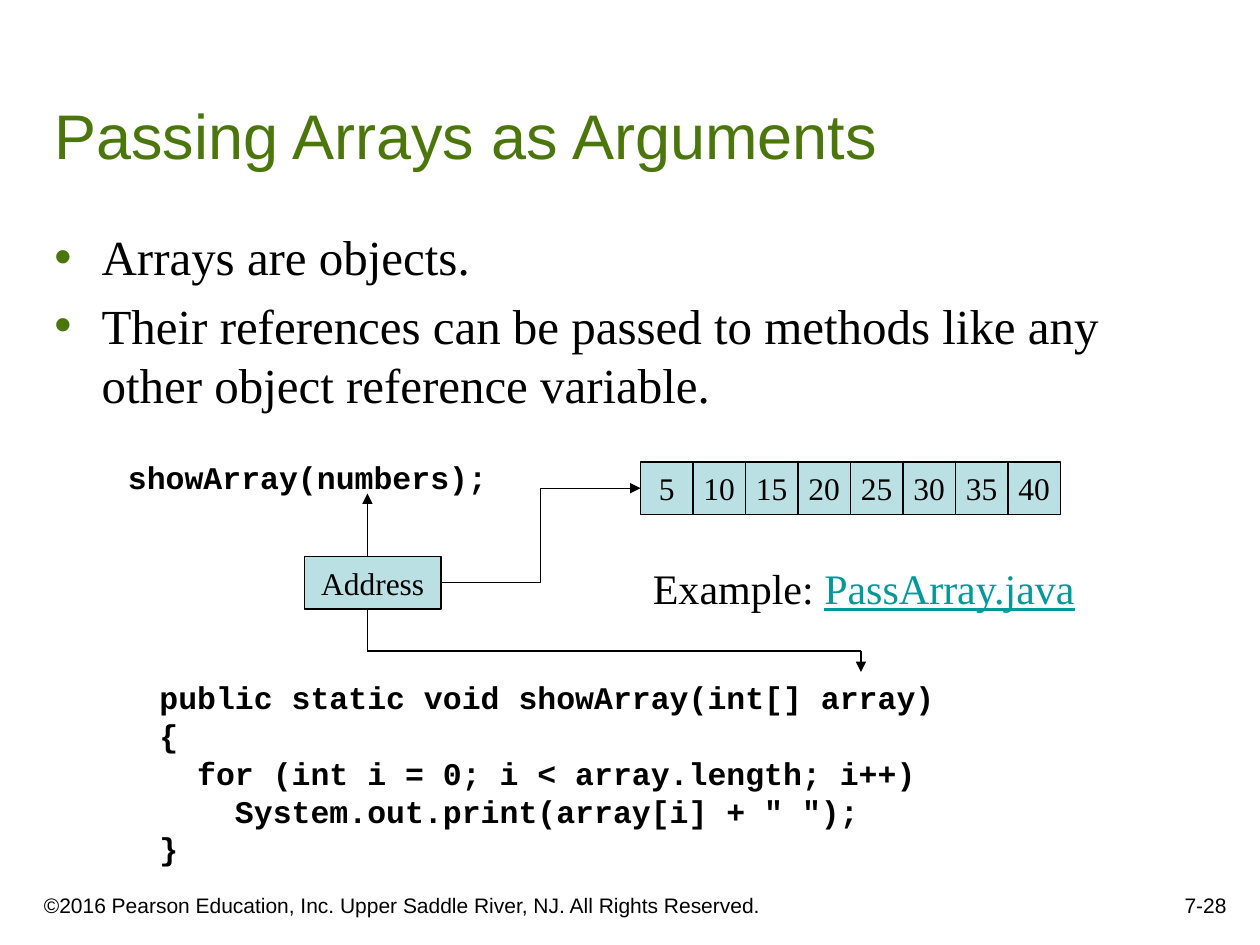
"""Build a slide that shows how an array is passed to a method."""
import dataclasses

import lxml.etree
import pptx
import pptx.dml.color
import pptx.enum.shapes
import pptx.enum.text
import pptx.oxml.ns
import pptx.util

Pt = pptx.util.Pt
Align = pptx.enum.text.PP_ALIGN
Anchor = pptx.enum.text.MSO_ANCHOR
Link = pptx.enum.shapes.MSO_CONNECTOR


@dataclasses.dataclass(frozen=True)
class Theme:
    ink: str = "000000"
    green: str = "4B760B"
    teal: str = "009999"
    pale: str = "BBE0E3"
    sans: str = "Arial"
    serif: str = "Times New Roman"
    mono: str = "Courier New"
    title: int = 36
    body: int = 28
    sample: int = 24
    label: int = 18
    foot: int = 12
    rule: float = 0.75


def color(code):
    return pptx.dml.color.RGBColor.from_string(code)


def add(node, tag, **attrs):
    return lxml.etree.SubElement(node, pptx.oxml.ns.qn(tag), attrs)


def write(para, text, font, size, ink, bold=False, under=False):
    run = para.add_run()
    run.text = text
    run.font.name = font
    run.font.size = Pt(size)
    run.font.color.rgb = color(ink)
    run.font.bold = bold
    run.font.underline = under


class Painter:
    def __init__(self, theme, slide):
        self.theme = theme
        self.slide = slide

    def text(self, place, lines, font, size, ink=None, bold=False,
             align=Align.LEFT, anchor=Anchor.TOP, wrap=True):
        box = self.slide.shapes.add_textbox(*map(Pt, place))
        frame = box.text_frame
        frame.word_wrap = wrap
        frame.vertical_anchor = anchor
        for i, line in enumerate(lines):
            para = frame.add_paragraph() if i else frame.paragraphs[0]
            para.alignment = align
            write(para, line, font, size, ink or self.theme.ink, bold)
        return frame

    def bullets(self, place, lines):
        look = self.theme
        frame = self.text(place, lines, look.serif, look.body)
        frame.margin_right = 0
        for i, para in enumerate(frame.paragraphs):
            if i:
                para.space_before = Pt(0.2 * look.body)
            props = para._p.get_or_add_pPr()
            props.set("marL", str(Pt(27)))
            props.set("indent", str(Pt(-27)))
            add(add(props, "a:buClr"), "a:srgbClr", val=look.green)
            add(props, "a:buFont", typeface=look.sans)
            add(props, "a:buChar", char="•")

    def cell(self, place, text):
        look = self.theme
        kind = pptx.enum.shapes.MSO_SHAPE.RECTANGLE
        box = self.slide.shapes.add_shape(kind, *map(Pt, place))
        box.shadow.inherit = False
        box.fill.solid()
        box.fill.fore_color.rgb = color(look.pale)
        box.line.color.rgb = color(look.ink)
        box.line.width = Pt(look.rule)
        frame = box.text_frame
        frame.word_wrap = False
        frame.vertical_anchor = Anchor.MIDDLE
        para = frame.paragraphs[0]
        para.alignment = Align.CENTER
        write(para, text, look.serif, look.label, look.ink)

    def line(self, start, end, kind=Link.STRAIGHT, arrow=False):
        wire = self.slide.shapes.add_connector(kind, *map(Pt, start + end))
        wire.line.color.rgb = color(self.theme.ink)
        wire.line.width = Pt(self.theme.rule)
        if arrow:
            add(wire.line._get_or_add_ln(), "a:tailEnd", type="triangle")
        add(wire._element.spPr, "a:effectLst")


def main():
    deck = pptx.Presentation()
    deck.slide_width, deck.slide_height = Pt(720), Pt(540)
    look = Theme()
    pen = Painter(look, deck.slides.add_slide(deck.slide_layouts[6]))

    pen.text((18, 498, 438, 30),
             ["©2016 Pearson Education, Inc. Upper Saddle River, NJ. All Rights Reserved."],
             look.sans, look.foot, anchor=Anchor.BOTTOM)
    pen.text((558, 492, 150, 36), ["7-28"], look.sans, look.foot,
             align=Align.RIGHT, anchor=Anchor.BOTTOM)
    pen.text((24, 24, 678, 78), ["Passing Arrays as Arguments"],
             look.sans, look.title, look.green, anchor=Anchor.BOTTOM)
    pen.bullets((24, 126, 653, 151), [
        "Arrays are objects.",
        "Their references can be passed to methods like any other object reference variable.",
    ])

    side = 30
    for i in range(8):
        pen.cell((366 + i * side, 264, side, side), str(5 * (i + 1)))
    pen.cell((174, 318, 78, side), "Address")

    pen.text((66, 258, 219.6, 28.8), ["showArray(numbers);"],
             look.mono, look.label, bold=True, wrap=False)
    pen.text((84, 384, 457.2, 115.2), [
        "public static void showArray(int[] array)",
        "{",
        "  for (int i = 0; i < array.length; i++)",
        '    System.out.print(array[i] + " ");',
        "}",
    ], look.mono, look.label, bold=True, wrap=False)

    pen.line((252, 333), (366, 279), Link.ELBOW, arrow=True)
    pen.line((210, 318), (210, 282), arrow=True)
    pen.line((210, 348), (210, 372))
    pen.line((210, 372), (492, 372))
    pen.line((492, 372), (492, 384), arrow=True)

    frame = pen.text((366, 318, 257, 36), ["Example: "],
                     look.serif, look.sample, wrap=False)
    write(frame.paragraphs[0], "PassArray.java", look.serif, look.sample,
          look.teal, under=True)
    deck.save("out.pptx")


if __name__ == "__main__":
    main()
